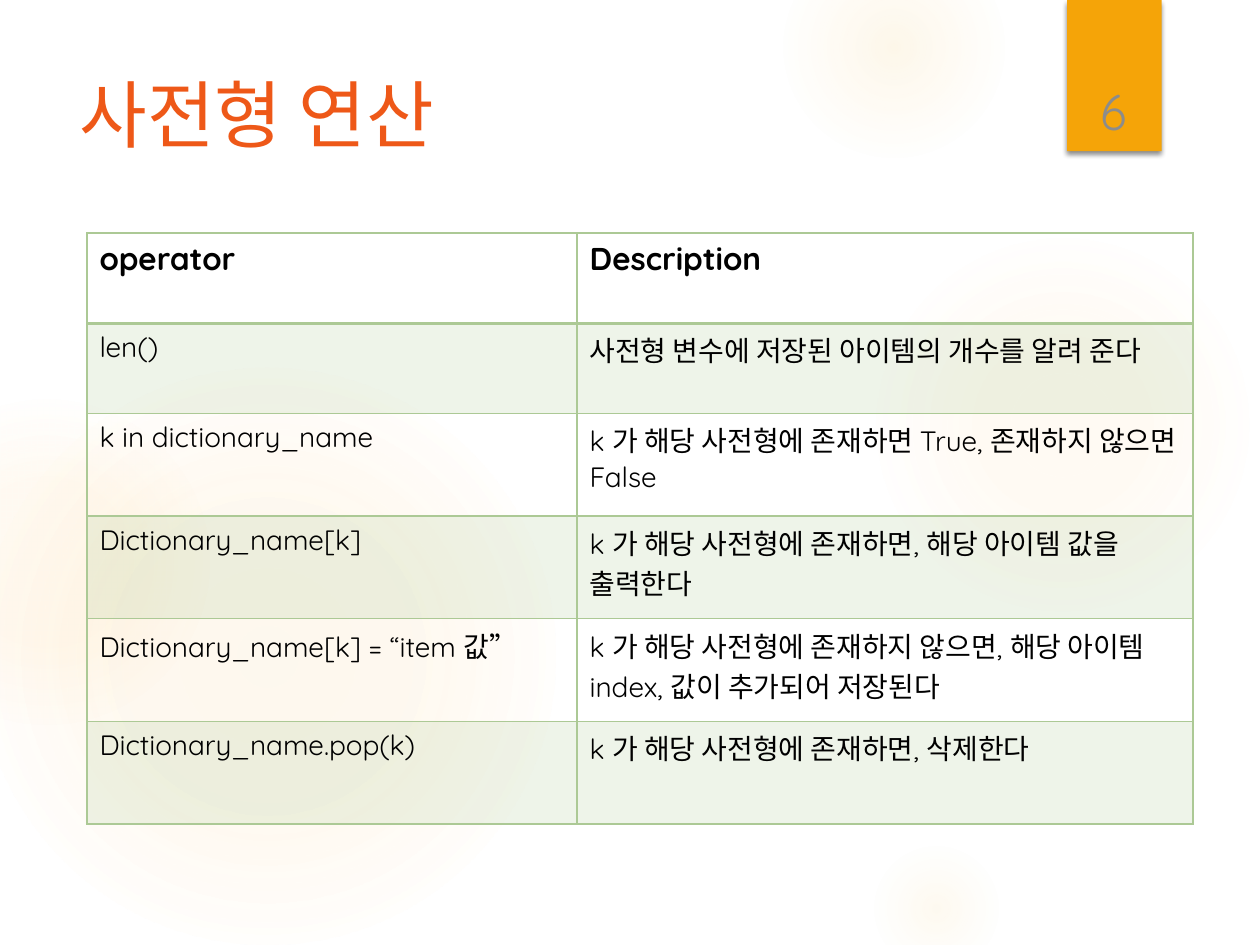
import pptx
import pptx.dml.color
import pptx.enum.shapes
import pptx.enum.text
import pptx.oxml
import pptx.oxml.ns
import pptx.util
from dataclasses import dataclass

Pt = pptx.util.Pt
Shape = pptx.enum.shapes.MSO_SHAPE
Align = pptx.enum.text.PP_ALIGN
Anchor = pptx.enum.text.MSO_ANCHOR
qn = pptx.oxml.ns.qn

COLS, ROWS = 100, 75  # grid units across and down the slide


@dataclass(frozen=True)
class Theme:
    latin: str = "Quicksand"
    hangul: str = "Noto Sans CJK KR"
    title: str = "EE5818"
    text: str = "000000"
    number: str = "8C8C8C"
    glow: str = "FAC96A"
    tab: str = "F5A408"
    green: str = "ACC995"
    tint: int = 20
    big: int = 42
    page: int = 28
    head: int = 18
    body: int = 16


def rgb(code):
    return pptx.dml.color.RGBColor.from_string(code)


def node(tag, body="", **attrs):
    """Make one element of the drawing namespace."""
    pairs = "".join(f' {key}="{val}"' for key, val in attrs.items())
    space = pptx.oxml.ns.nsdecls("a")
    return pptx.oxml.parse_xml(f"<a:{tag} {space}{pairs}>{body}</a:{tag}>")


def paint(code, alpha=100):
    return f'<a:srgbClr val="{code}"><a:alpha val="{alpha * 1000}"/></a:srgbClr>'


class Deck:
    def __init__(self, theme):
        self.theme = theme
        self.file = pptx.Presentation()
        self.file.slide_width = pptx.util.Inches(10)
        self.file.slide_height = pptx.util.Inches(7.5)
        self.slide = None

    def add(self):
        self.slide = self.file.slides.add_slide(self.file.slide_layouts[5])

    def x(self, cols):
        return round(self.file.slide_width * cols / COLS)

    def y(self, rows):
        return round(self.file.slide_height * rows / ROWS)

    def box(self, left, top, width, height):
        return self.x(left), self.y(top), self.x(width), self.y(height)

    def style(self, para, size, color, font=None, bold=False):
        for run in para.runs:
            run.font.name = font or self.theme.latin
            run.font.size = Pt(size)
            run.font.bold = bold
            run.font.color.rgb = rgb(color)
            latin = run.font._element.find(qn("a:latin"))
            latin.addnext(node("ea", typeface=self.theme.hangul))

    def shape(self, kind, *place):
        item = self.slide.shapes.add_shape(kind, *self.box(*place))
        item.shadow.inherit = False
        item.line.fill.background()
        return item

    def glow(self, left, top, size, stops):
        """Draw a soft round light that fades towards its edge."""
        item = self.shape(Shape.OVAL, left, top, size, size)
        item.fill.background()
        marks = "".join(
            f'<a:gs pos="{pos * 1000}">{paint(self.theme.glow, alpha)}</a:gs>'
            for pos, alpha in stops)
        fade = node("gradFill", f'<a:gsLst>{marks}</a:gsLst><a:path path="circle">'
                    '<a:fillToRect l="50000" t="50000" r="50000" b="50000"/></a:path>')
        props = item._element.spPr
        props.replace(props.find(qn("a:noFill")), fade)

    def tab(self, *place):
        item = self.shape(Shape.RECTANGLE, *place)
        item.fill.solid()
        item.fill.fore_color.rgb = rgb(self.theme.tab)
        item._element.spPr.find(qn("a:effectLst")).append(
            node("outerShdw", paint("000000", 45), blurRad=Pt(3), dist=Pt(2),
                 dir=90 * 60000, rotWithShape=0))

    def title(self, text, *place):
        item = self.slide.shapes.title
        item.left, item.top, item.width, item.height = self.box(*place)
        self.slide.shapes._spTree.append(item._element)
        frame = item.text_frame
        frame.text = text
        frame.vertical_anchor = Anchor.TOP
        frame.paragraphs[0].alignment = Align.LEFT
        self.style(frame.paragraphs[0], self.theme.big, self.theme.title,
                   self.theme.hangul)

    def number(self, text, *place):
        frame = self.slide.shapes.add_textbox(*self.box(*place)).text_frame
        frame.word_wrap = True
        frame.vertical_anchor = Anchor.BOTTOM
        frame.text = text
        frame.paragraphs[0].alignment = Align.CENTER
        self.style(frame.paragraphs[0], self.theme.page, self.theme.number)

    def edges(self, cell, row):
        widths = {"L": 1, "R": 1, "T": 2 if row == 1 else 1, "B": 2 if row == 0 else 1}
        for side, width in widths.items():
            line = node("ln" + side, f"<a:solidFill>{paint(self.theme.green)}</a:solidFill>",
                        w=Pt(width))
            cell._tc.get_or_add_tcPr().append(line)

    def cell(self, cell, row, text):
        head = row == 0
        cell.text_frame.text = text
        self.style(cell.text_frame.paragraphs[0],
                   self.theme.head if head else self.theme.body,
                   self.theme.text, bold=head)
        self.edges(cell, row)
        if row % 2 == 0:
            cell.fill.background()
            return
        cell.fill.solid()
        cell.fill.fore_color.rgb = rgb(self.theme.green)
        tone = cell._tc.tcPr.find(qn("a:solidFill"))[0]
        tone.append(node("alpha", val=self.theme.tint * 1000))

    def table(self, left, top, widths, heights, data):
        place = self.box(left, top, sum(widths), sum(heights))
        grid = self.slide.shapes.add_table(len(data), len(widths), *place).table
        grid.first_row = grid.horz_banding = False
        for col, width in zip(grid.columns, widths):
            col.width = self.x(width)
        for row, height in zip(grid.rows, heights):
            row.height = self.y(height)
        for r, line in enumerate(data):
            for c, text in enumerate(line):
                self.cell(grid.cell(r, c), r, text)


GLOWS = [
    (68.9, 18.3, 30.8, [(0, 7), (36, 6), (69, 0)]),
    (62.2, -5, 17.5, [(0, 14), (36, 7), (73, 0)]),
    (68.9, 66.7, 10.8, [(0, 10), (31, 5), (66, 0)]),
    (-1.7, 29.2, 45.8, [(0, 11), (36, 10), (75, 0)]),
    (-9.2, 31.7, 25.8, [(0, 8), (36, 8), (72, 0)]),
]

DATA = [
    ("operator", "Description"),
    ("len()", "사전형 변수에 저장된 아이템의 개수를 알려 준다"),
    ("k in dictionary_name", "k 가 해당 사전형에 존재하면 True, 존재하지 않으면 False"),
    ("Dictionary_name[k]", "k 가 해당 사전형에 존재하면, 해당 아이템 값을 출력한다"),
    ("Dictionary_name[k] = “item 값”",
     "k 가 해당 사전형에 존재하지 않으면, 해당 아이템 index, 값이 추가되어 저장된다"),
    ("Dictionary_name.pop(k)", "k 가 해당 사전형에 존재하면, 삭제한다"),
]


def main():
    deck = Deck(Theme())
    deck.add()
    for glow in GLOWS:
        deck.glow(*glow)
    deck.tab(84.7, 0, 7.5, 12)
    deck.title("사전형 연산", 5.3, 5, 77.2, 15.3)
    deck.table(6.9, 18.5, [38.9, 48.9], [7.15] * 2 + [8.15] * 4, DATA)
    deck.number("6", 84.9, 3.2, 6.9, 8.4)
    deck.file.save("out.pptx")


if __name__ == "__main__":
    main()
